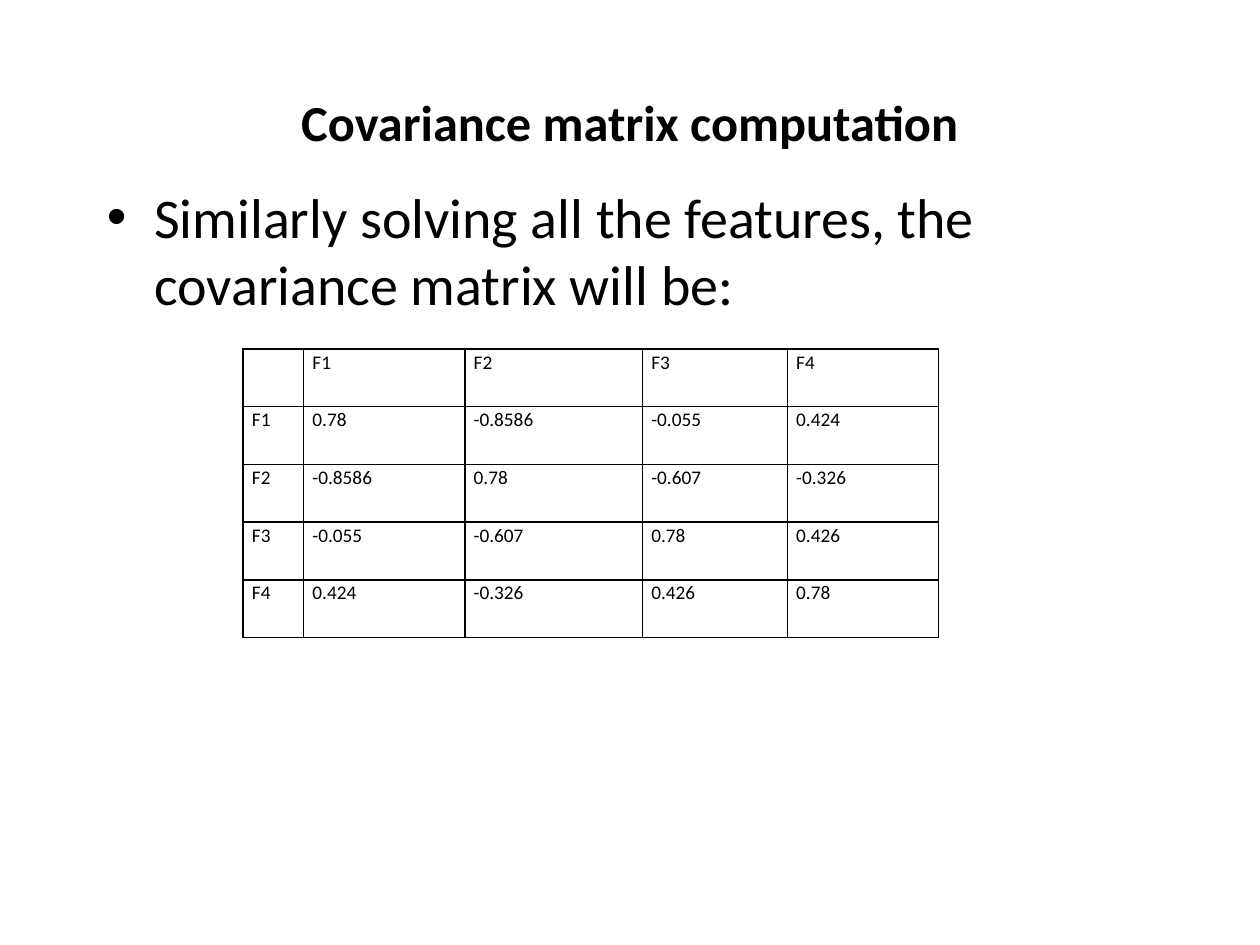
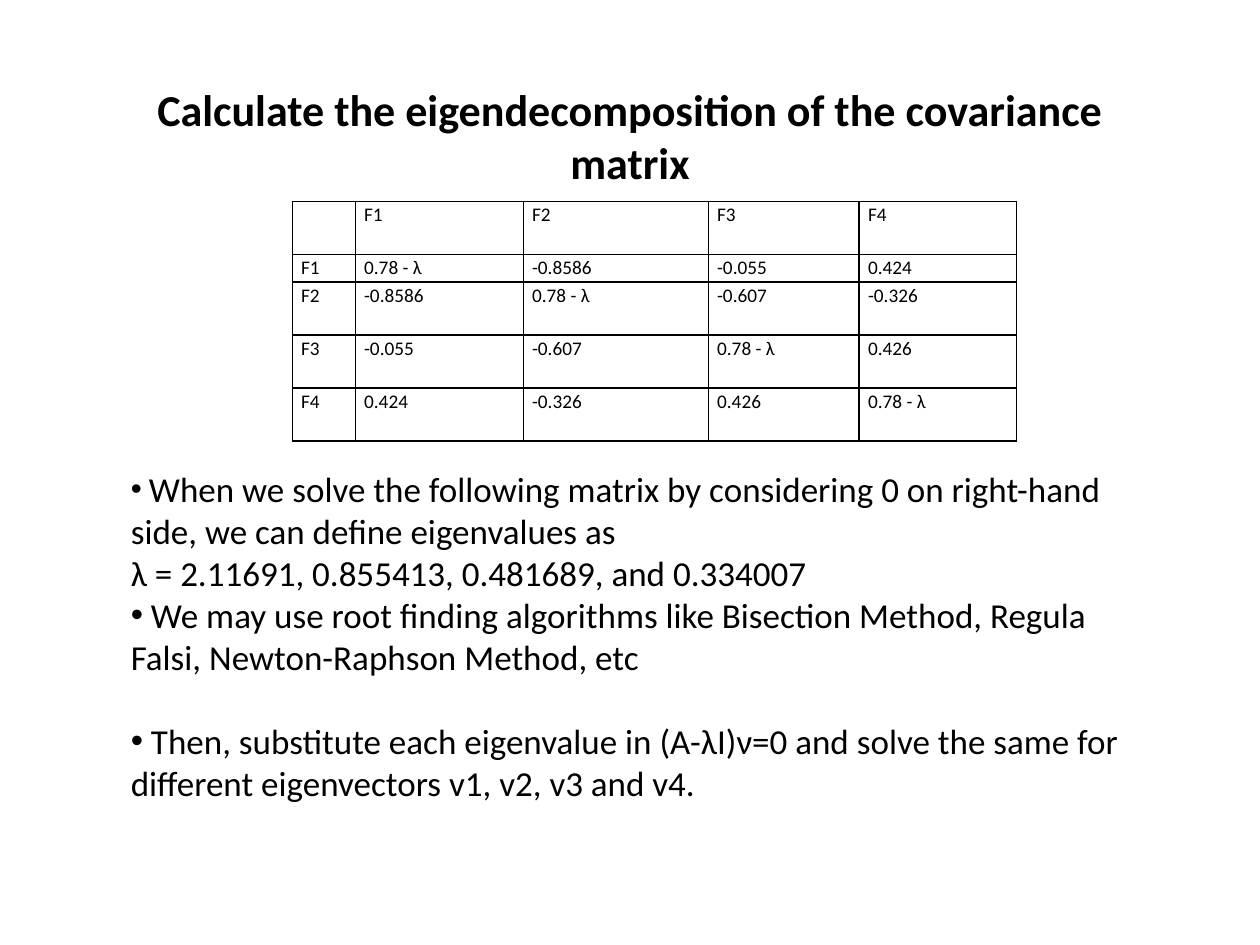
from dataclasses import dataclass

import pptx
import pptx.dml.color
import pptx.enum.text
import pptx.oxml
import pptx.oxml.ns
import pptx.util


@dataclass(frozen=True)
class Theme:
    font: str = "Calibri"
    ink: str = "000000"
    title_size: float = 28.8
    long_title_size: float = 25.2
    body_size: float = 32
    note_size: float = 20
    note_bullet_size: float = 18
    note_gap: float = 24
    cell_size: float = 11
    cell_spacing: float = 1.07
    border_width: float = 1


@dataclass(frozen=True)
class Box:
    left: float
    top: float
    width: float
    height: float

    def place(self):
        return [grid(value) for value in (self.left, self.top, self.width, self.height)]


THEME = Theme()
GRID_COLUMNS, GRID_ROWS = 100, 75
GRID_UNIT = pptx.util.Inches(0.1)
COLUMN_WEIGHTS = (4.8, 12.8, 14.1, 11.5, 12)
FEATURES = ("F1", "F2", "F3", "F4")
COVARIANCE = (
    ("0.78", "-0.8586", "-0.055", "0.424"),
    ("-0.8586", "0.78", "-0.607", "-0.326"),
    ("-0.055", "-0.607", "0.78", "0.426"),
    ("0.424", "-0.326", "0.426", "0.78"),
)


def grid(units):
    return round(units * GRID_UNIT)


def add_run(paragraph, text, size, bold=False):
    run = paragraph.add_run()
    run.text = text
    run.font.name = THEME.font
    run.font.size = pptx.util.Pt(size)
    run.font.bold = bold
    run.font.color.rgb = pptx.dml.color.RGBColor.from_string(THEME.ink)


def set_bullet(paragraph, indent=0):
    properties = paragraph._p.get_or_add_pPr()
    properties.set("marL", str(grid(indent)))
    properties.set("indent", str(-grid(indent)))
    namespace = pptx.oxml.ns.nsdecls("a")
    properties.append(pptx.oxml.parse_xml(f'<a:buFont {namespace} typeface="Arial"/>'))
    properties.append(pptx.oxml.parse_xml(f'<a:buChar {namespace} char="•"/>'))


def add_text_frame(slide, box):
    frame = slide.shapes.add_textbox(*box.place()).text_frame
    frame.word_wrap = True
    return frame


def add_title(slide, box, text, size):
    frame = add_text_frame(slide, box)
    frame.vertical_anchor = pptx.enum.text.MSO_ANCHOR.MIDDLE
    paragraph = frame.paragraphs[0]
    paragraph.alignment = pptx.enum.text.PP_ALIGN.CENTER
    add_run(paragraph, text, size, bold=True)


def add_statement(slide, box, text):
    paragraph = add_text_frame(slide, box).paragraphs[0]
    set_bullet(paragraph, indent=3.75)
    add_run(paragraph, text, THEME.body_size)


def add_notes_list(slide, box, notes):
    frame = add_text_frame(slide, box)
    for index, (bulleted, gap, runs) in enumerate(notes):
        paragraph = frame.add_paragraph() if index else frame.paragraphs[0]
        if gap:
            paragraph.space_before = pptx.util.Pt(gap)
        if bulleted:
            set_bullet(paragraph)
        for text, size in runs:
            add_run(paragraph, text, size)


def style_cell(cell):
    cell.margin_left = cell.margin_right = grid(0.7)
    cell.margin_top = cell.margin_bottom = 0
    properties = cell._tc.get_or_add_tcPr()
    for side in "LRTB":
        properties.append(pptx.oxml.parse_xml(
            f'<a:ln{side} {pptx.oxml.ns.nsdecls("a")} w="{pptx.util.Pt(THEME.border_width)}">'
            f'<a:solidFill><a:srgbClr val="{THEME.ink}"/></a:solidFill></a:ln{side}>'))
    cell.fill.background()


def add_matrix(slide, box, values, row_weights):
    rows = [("", *FEATURES)] + [(name, *row) for name, row in zip(FEATURES, values)]
    table = slide.shapes.add_table(len(rows), len(rows[0]), *box.place()).table
    table.first_row = table.horz_banding = False
    for column, weight in zip(table.columns, COLUMN_WEIGHTS):
        column.width = grid(box.width * weight / sum(COLUMN_WEIGHTS))
    for row, weight in zip(table.rows, row_weights):
        row.height = grid(box.height * weight / sum(row_weights))
    for row, texts in zip(table.rows, rows):
        for cell, text in zip(row.cells, texts):
            style_cell(cell)
            paragraph = cell.text_frame.paragraphs[0]
            paragraph.line_spacing = THEME.cell_spacing
            if text:
                add_run(paragraph, text, THEME.cell_size)


def build_covariance_slide(slide):
    add_title(slide, Box(7.5, 6.7, 85, 5.8), "Covariance matrix computation", THEME.title_size)
    add_statement(slide, Box(7.5, 14, 85, 52.7),
                  "Similarly solving all the features, the covariance matrix will be:")
    add_matrix(slide, Box(19.3, 27.7, 55.2, 22.9), COVARIANCE, [1] * 5)


def build_eigen_slide(slide):
    add_title(slide, Box(7.5, 6.7, 85, 8.1),
              "Calculate the eigendecomposition of the covariance matrix", THEME.long_title_size)
    characteristic = [
        [f"{value} - λ" if row == column else value for column, value in enumerate(values)]
        for row, values in enumerate(COVARIANCE)
    ]
    add_matrix(slide, Box(23.2, 16, 57.5, 19), characteristic, (4.2, 2.2, 4.2, 4.2, 4.2))
    size = THEME.note_size
    add_notes_list(slide, Box(9.4, 36.6, 81, 29.3), (
        (True, 0, ((" ", THEME.note_bullet_size),
                   ("When we solve the following matrix by considering 0 on right-hand side, "
                    "we can define eigenvalues as", size))),
        (False, 0, (("λ = 2.11691, 0.855413, 0.481689, and 0.334007", size),)),
        (True, 0, ((" We may use root finding algorithms like Bisection Method, Regula Falsi, "
                    "Newton-Raphson Method, etc", size),)),
        (True, THEME.note_gap, ((" Then, substitute each eigenvalue in (A-λI)ν=0 and solve the same "
                                 "for different eigenvectors v1, v2, v3 and v4.", size),)),
    ))


def main():
    presentation = pptx.Presentation()
    presentation.slide_width = grid(GRID_COLUMNS)
    presentation.slide_height = grid(GRID_ROWS)
    for build_slide in (build_covariance_slide, build_eigen_slide):
        build_slide(presentation.slides.add_slide(presentation.slide_layouts[6]))
    presentation.save("out.pptx")


if __name__ == "__main__":
    main()
